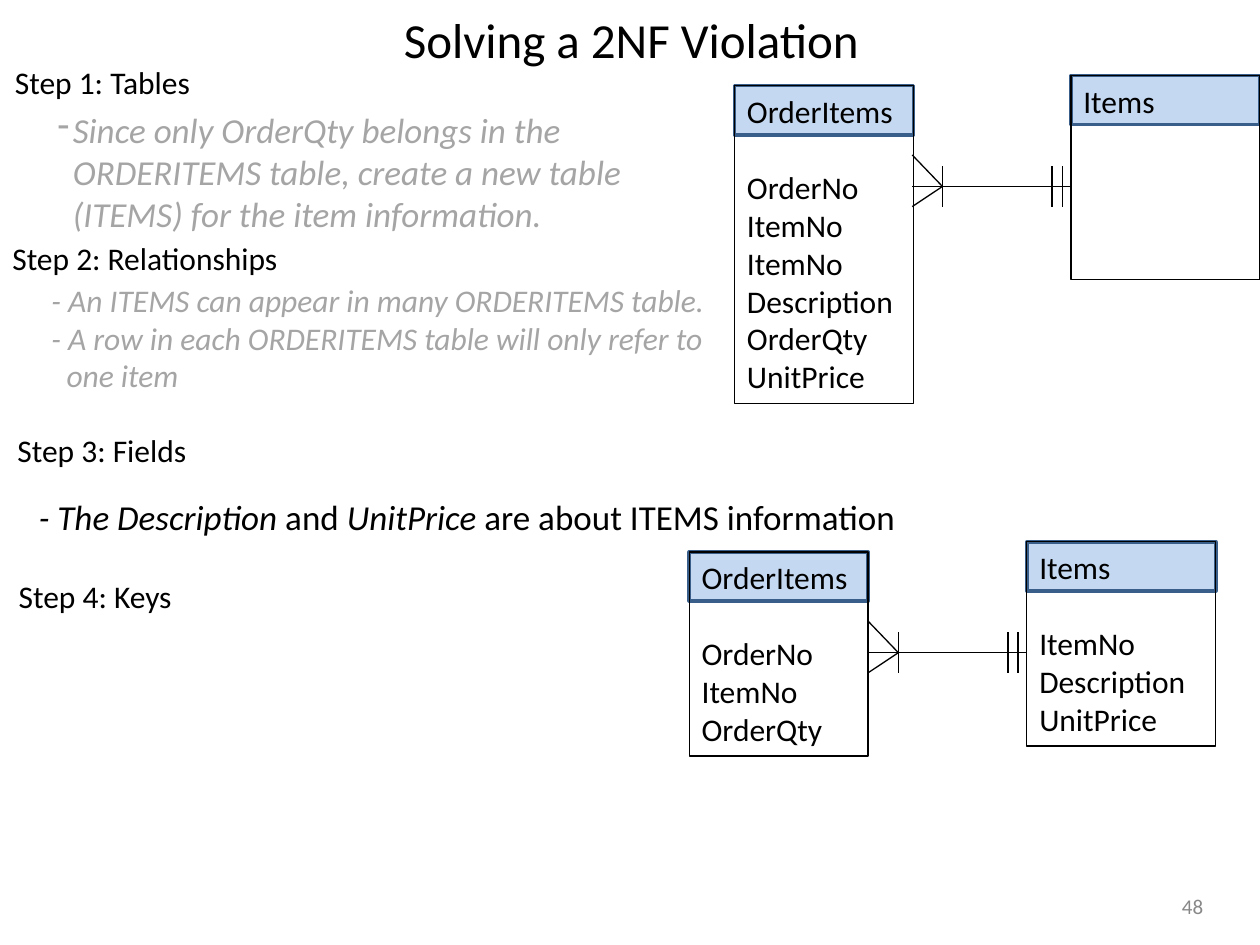
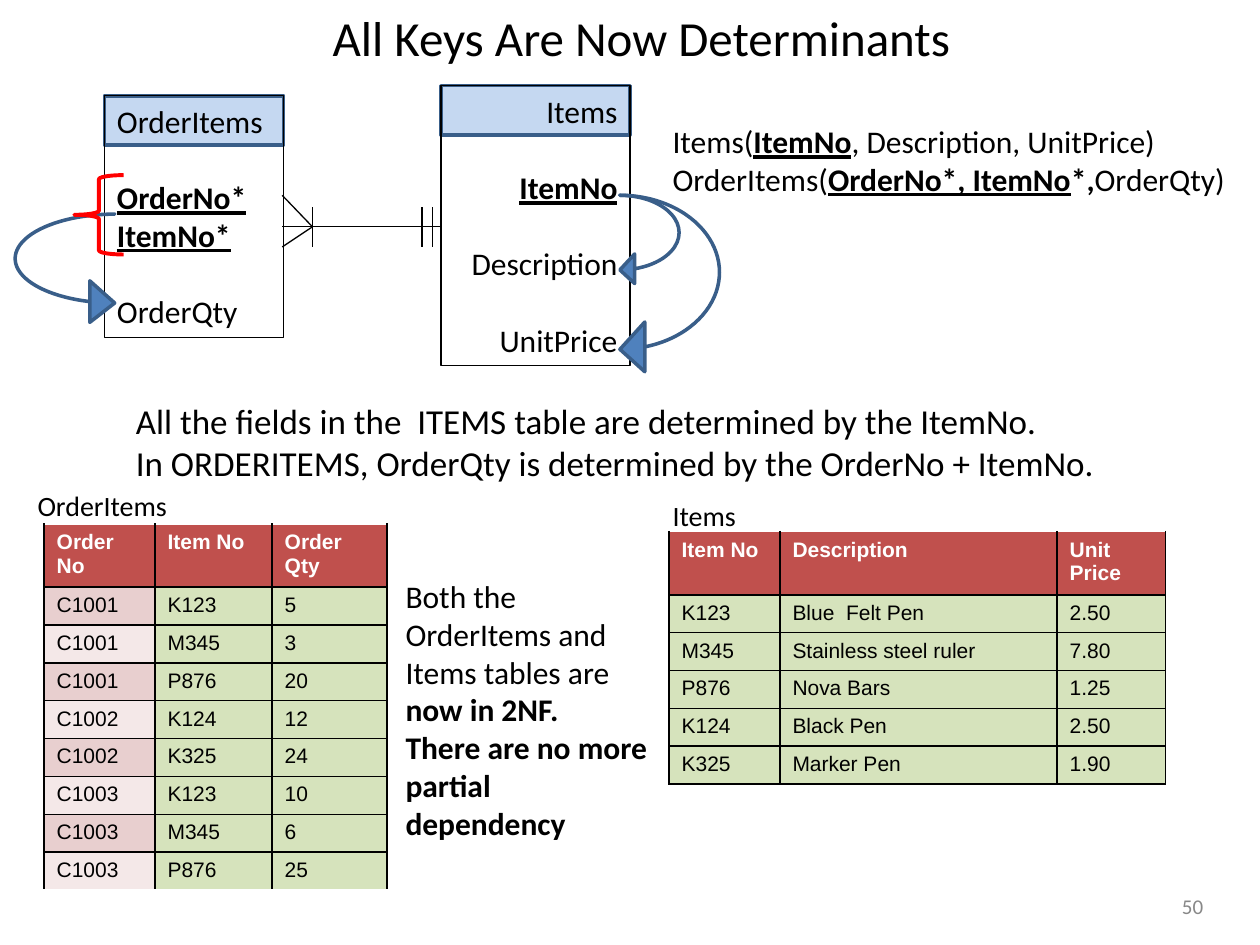
from lxml import etree
from pptx import Presentation
from pptx.dml.color import RGBColor
from pptx.enum.shapes import MSO_CONNECTOR as Connector, MSO_SHAPE as Preset
from pptx.enum.text import MSO_ANCHOR as Anchor, PP_ALIGN as Align
from pptx.oxml.ns import qn
from pptx.util import Inches, Pt

COLORS = {
    "black": "000000", "white": "FFFFFF", "muted": "A5A5A5", "number": "888888",
    "header": "C5D8F1", "outline": "395E89", "arrow": "4F81BD", "brace": "FF0000",
    "table_header": "C0504D", "cell": "D6E3BC", "key_dark": "E8CFCF", "key_light": "F4E8E8",
}
BODY_FONT, TABLE_FONT = "Calibri", "Arial"
KEY = {"bold": True, "underline": True}
ITALIC = {"italic": True}
BOLD = {"bold": True}
HANGING = 0.12
HEADER_HEIGHT = 0.39

ORDER_ITEM_ROWS = [
    ("Order No", "Item No", "Order\nQty"),
    ("C1001", "K123", "5"), ("C1001", "M345", "3"), ("C1001", "P876", "20"),
    ("C1002", "K124", "12"), ("C1002", "K325", "24"), ("C1003", "K123", "10"),
    ("C1003", "M345", "6"), ("C1003", "P876", "25"),
]
ITEM_ROWS = [
    ("Item No", "Description", "Unit\nPrice"),
    ("K123", "Blue  Felt Pen", "2.50"), ("M345", "Stainless steel ruler", "7.80"),
    ("P876", "Nova Bars", "1.25"), ("K124", "Black Pen", "2.50"), ("K325", "Marker Pen", "1.90"),
]


def rgb(name):
    return RGBColor.from_string(COLORS[name])


def set_values(target, values):
    for name, value in values.items():
        setattr(target, name, value)


def set_hanging(paragraph, bullet, color):
    properties = paragraph._p.get_or_add_pPr()
    properties.set("marL", str(Inches(HANGING)))
    properties.set("indent", str(-Inches(HANGING)))
    if bullet:
        bullet_color = etree.SubElement(properties, qn("a:buClr"))
        etree.SubElement(bullet_color, qn("a:srgbClr"), val=COLORS[color])
        etree.SubElement(properties, qn("a:buChar"), char=bullet)


def write_text(frame, paragraphs, size, color="black", font=BODY_FONT, align=Align.LEFT,
               style=None, hanging=False, bullet=None, gaps=()):
    frame.word_wrap = True
    for index, runs in enumerate(paragraphs):
        paragraph = frame.add_paragraph() if index else frame.paragraphs[0]
        paragraph.alignment = align
        if hanging:
            set_hanging(paragraph, bullet, color)
        if index in gaps:
            paragraph.space_before = Pt(size * 1.22)
        for text, run_style in [(runs, {})] if isinstance(runs, str) else runs:
            run = paragraph.add_run()
            run.text = text
            run.font.color.rgb = rgb(color)
            set_values(run.font, {"name": font, "size": Pt(size), **(style or {}), **run_style})


def add_text(slide, box, paragraphs, size, anchor=Anchor.TOP, **options):
    frame = slide.shapes.add_textbox(*map(Inches, box)).text_frame
    frame.vertical_anchor = anchor
    write_text(frame, paragraphs, size, **options)


def add_preset(slide, preset, box, fill, line, width, adjustments=()):
    shape = slide.shapes.add_shape(preset, *map(Inches, box))
    shape.shadow.inherit = False
    if fill:
        shape.fill.solid()
        shape.fill.fore_color.rgb = rgb(fill)
    else:
        shape.fill.background()
    shape.line.color.rgb = rgb(line)
    shape.line.width = Pt(width)
    for index, value in enumerate(adjustments):
        shape.adjustments[index] = value
    return shape


def add_line(slide, start, end):
    connector = slide.shapes.add_connector(Connector.STRAIGHT, *map(Inches, (*start, *end)))
    connector.line.color.rgb = rgb("black")
    connector.line.width = Pt(0.75)
    etree.SubElement(connector._element.spPr, qn("a:effectLst"))


def add_entity(slide, box, name, groups, keyed=False, align=Align.LEFT):
    left, top, width, _ = box
    add_preset(slide, Preset.RECTANGLE, (left, top, width, HEADER_HEIGHT), "header", "outline", 2)
    body = add_preset(slide, Preset.RECTANGLE, box, None, "black", 0.75)
    body.text_frame.vertical_anchor = Anchor.TOP
    paragraphs, gaps = [name], []
    for index, group in enumerate(groups):
        gaps.append(len(paragraphs))
        style = KEY if keyed and index == 0 else {}
        paragraphs += [[(field, style)] for field in group]
    write_text(body.text_frame, paragraphs, 18, align=align, gaps=gaps)


def add_relationship(slide, left, right, middle):
    foot = left + 0.24
    add_line(slide, (right, middle), (left, middle))
    for offset in (0.16, -0.25):
        add_line(slide, (foot, middle), (left, middle + offset))
    for bar in (foot, right - 0.15, right - 0.07):
        add_line(slide, (bar, middle + 0.16), (bar, middle - 0.16))


def set_borders(cell, top, bottom):
    properties = cell._tc.get_or_add_tcPr()
    for side, color in (("L", "black"), ("R", "black"), ("T", top), ("B", bottom)):
        line = etree.SubElement(properties, qn(f"a:ln{side}"), w=str(Pt(1)))
        fill = etree.SubElement(line, qn("a:solidFill"))
        etree.SubElement(fill, qn("a:srgbClr"), val=COLORS[color])


def add_data_table(slide, left, top, widths, rows, key_fills=("cell",), last_border="black"):
    heights = [0.5] + [0.3] * (len(rows) - 1)
    box = (left, top, sum(widths), sum(heights))
    table = slide.shapes.add_table(len(rows), len(widths), *map(Inches, box)).table
    table.horz_banding = False
    for column, width in zip(table.columns, widths):
        column.width = Inches(width)
    for row, height in zip(table.rows, heights):
        row.height = Inches(height)
    for row_index, values in enumerate(rows):
        is_header = row_index == 0
        is_last = row_index == len(rows) - 1
        for column_index, value in enumerate(values):
            cell = table.cell(row_index, column_index)
            set_borders(cell, "white" if is_header else "black", last_border if is_last else "black")
            fill = "cell" if column_index else key_fills[(row_index - 1) % len(key_fills)]
            cell.fill.solid()
            cell.fill.fore_color.rgb = rgb("table_header" if is_header else fill)
            write_text(cell.text_frame, value.split("\n"), 12, font=TABLE_FONT,
                       color="white" if is_header else "black", style={"bold": is_header})


def add_titled_slide(presentation, title, left, top, number):
    slide = presentation.slides.add_slide(presentation.slide_layouts[6])
    add_text(slide, (left, top, 9, 0.58), [title], 28, anchor=Anchor.MIDDLE, align=Align.CENTER)
    add_text(slide, (9.17, 7.03, 0.59, 0.32), [number], 12, anchor=Anchor.MIDDLE,
             align=Align.CENTER, color="number")
    return slide


def build_violation_slide(presentation):
    slide = add_titled_slide(presentation, "Solving a 2NF Violation", 0.51, 0.02, "48")
    steps = [(0.02, 0.45, "Step 1: Tables"), (0, 1.85, "Step 2: Relationships"),
             (0.04, 3.37, "Step 3: Fields"), (0.05, 4.53, "Step 4: Keys")]
    for left, top, label in steps:
        add_text(slide, (left, top, 2.56, 0.4), [label], 18)
    add_text(slide, (0.36, 0.81, 4.72, 1.11), [
        "Since only OrderQty belongs in the ORDERITEMS table, create a new table (ITEMS) "
        "for the item information."], 20, color="muted", style=ITALIC, hanging=True, bullet="-")
    add_text(slide, (0.31, 2.18, 5.63, 1.01), [
        "- An ITEMS can appear in many ORDERITEMS table.",
        "- A row in each ORDERITEMS table will only refer to one item",
    ], 18, color="muted", style=ITALIC, hanging=True)
    add_text(slide, (0.21, 3.88, 7.23, 0.44), [[
        ("- The Description", ITALIC), (" and ", {}), ("UnitPrice", ITALIC),
        (" are about ITEMS information", {})]], 20, hanging=True)

    add_entity(slide, (5.47, 4.38, 1.42, 1.62), "OrderItems", [["OrderNo", "ItemNo", "OrderQty"]])
    add_entity(slide, (8.15, 4.3, 1.5, 1.62), "Items", [["ItemNo", "Description", "UnitPrice"]])
    add_relationship(slide, 6.89, 8.15, 5.18)
    add_entity(slide, (5.83, 0.68, 1.42, 2.52), "OrderItems", [
        ["OrderNo", "ItemNo", "ItemNo", "Description", "OrderQty", "UnitPrice"]])
    add_entity(slide, (8.5, 0.6, 1.5, 1.62), "Items", [])
    add_relationship(slide, 7.24, 8.5, 1.48)


def build_determinants_slide(presentation):
    slide = add_titled_slide(presentation, "All Keys Are Now Determinants", 0.59, 0, "50")
    add_text(slide, (0.98, 3.12, 8.35, 0.77), [
        "All the fields in the  ITEMS table are determined by the ItemNo.",
        "In ORDERITEMS, OrderQty is determined by the OrderNo + ItemNo."], 20)

    add_entity(slide, (0.83, 0.76, 1.42, 1.92), "OrderItems",
               [["OrderNo*", "ItemNo*"], ["OrderQty"]], keyed=True)
    add_entity(slide, (3.5, 0.68, 1.5, 2.22), "Items",
               [["ItemNo"], ["Description"], ["UnitPrice"]], keyed=True, align=Align.RIGHT)
    add_relationship(slide, 2.24, 3.5, 1.8)

    add_preset(slide, Preset.CURVED_RIGHT_ARROW, (0.12, 1.7, 0.79, 0.87),
               "arrow", "outline", 2, (0, 0.417, 0.25))
    add_preset(slide, Preset.LEFT_BRACE, (0.59, 1.39, 0.39, 0.63),
               None, "brace", 2.25, (0.083, 0.5))
    for width, height in ((0.79, 1.42), (0.47, 0.71)):
        add_preset(slide, Preset.CURVED_LEFT_ARROW, (4.92, 1.55, width, height),
                   "arrow", "outline", 2, (0, 0.5, 0.25))

    add_data_table(slide, 0.35, 4.16, (0.88, 0.93, 0.91), ORDER_ITEM_ROWS,
                   key_fills=("key_dark", "key_light"), last_border="white")
    add_data_table(slide, 5.31, 4.22, (0.88, 2.2, 0.86), ITEM_ROWS)
    add_text(slide, (0.2, 3.83, 1.3, 0.37), ["OrderItems"], 16)
    add_text(slide, (5.24, 3.91, 0.8, 0.37), ["Items"], 16)
    add_text(slide, (3.12, 4.53, 2.19, 2.22), [
        "Both the OrderItems and",
        [("Items tables are ", {}), ("now in 2NF.", BOLD)],
        [("There are no more partial dependency", BOLD)]], 18)
    add_text(slide, (5.24, 0.92, 4.76, 0.71), [
        [("Items(", {}), ("ItemNo", KEY), (", Description, UnitPrice)", {})],
        [("OrderItems(", {}), ("OrderNo*, ItemNo", KEY), ("*,", BOLD), ("OrderQty)", {})]], 18)


def main():
    presentation = Presentation()
    set_values(presentation, {"slide_width": Inches(10), "slide_height": Inches(7.5)})
    build_violation_slide(presentation)
    build_determinants_slide(presentation)
    presentation.save("out.pptx")


if __name__ == "__main__":
    main()
